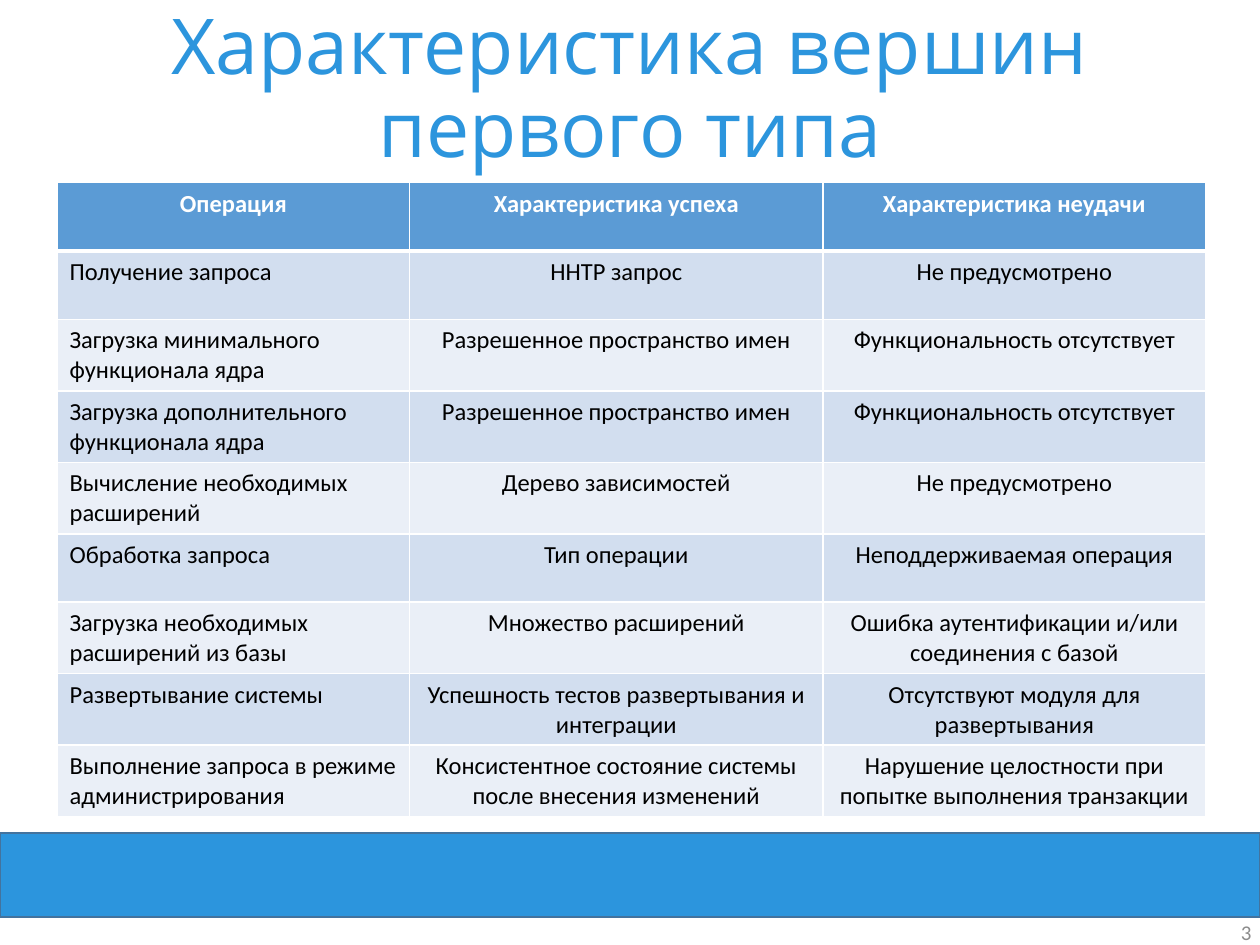
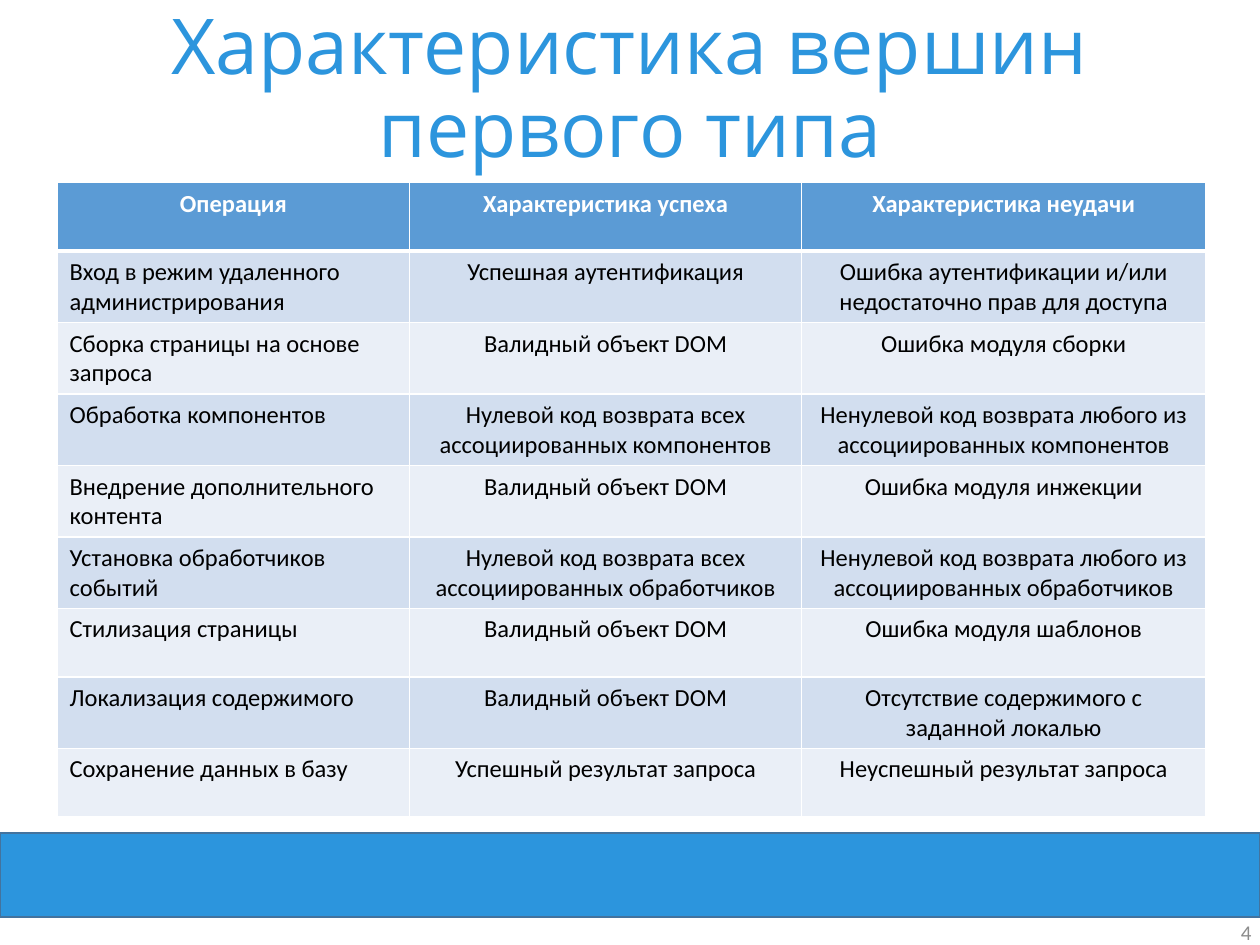
from lxml.etree import SubElement
from pptx import Presentation
from pptx.dml.color import RGBColor
from pptx.enum.shapes import MSO_SHAPE
from pptx.enum.text import MSO_ANCHOR, MSO_AUTO_SIZE, PP_ALIGN
from pptx.oxml.ns import qn
from pptx.util import Cm, Pt

# Shared look
HUES = {
    "main": "2C95DD", "edge": "43739E", "head": "5B9BD5", "odd": "D2DEEF",
    "even": "EAEFF7", "white": "FFFFFF", "black": "000000", "grey": "8C8C8C",
}
WIDE, HIGH = 25.4, 19.05
TOP = 3.68      # title height and table top
ROW = 1.38
TITLE = "Характеристика вершин первого типа"
HEAD = ("Операция", "Характеристика успеха", "Характеристика неудачи")

# Content: first page number, column widths and rows
SPACE = "Разрешенное пространство имен"
NONE = "Функциональность отсутствует"
DOM = "Валидный объект DOM"
ZERO = "Нулевой код возврата всех ассоциированных "
FAIL = "Ненулевой код возврата любого из ассоциированных "
PAGES = [
    (3, (7.11, 8.33, 7.72), [
        ("Получение запроса", "HHTP запрос", "Не предусмотрено"),
        ("Загрузка минимального функционала ядра", SPACE, NONE),
        ("Загрузка дополнительного функционала ядра", SPACE, NONE),
        ("Вычисление необходимых расширений", "Дерево зависимостей",
         "Не предусмотрено"),
        ("Обработка запроса", "Тип операции", "Неподдерживаемая операция"),
        ("Загрузка необходимых расширений из базы", "Множество расширений",
         "Ошибка аутентификации и/или соединения с базой"),
        ("Развертывание системы",
         "Успешность тестов развертывания и интеграции",
         "Отсутствуют модуля для развертывания"),
        ("Выполнение запроса в режиме администрирования",
         "Консистентное состояние системы после внесения изменений",
         "Нарушение целостности при попытке выполнения транзакции"),
    ]),
    (4, (7.11, 7.9, 8.15), [
        ("Вход в режим удаленного администрирования",
         "Успешная аутентификация",
         "Ошибка аутентификации и/или недостаточно прав для доступа"),
        ("Сборка страницы на основе запроса", DOM, "Ошибка модуля сборки"),
        ("Обработка компонентов", ZERO + "компонентов", FAIL + "компонентов"),
        ("Внедрение дополнительного контента", DOM,
         "Ошибка модуля инжекции"),
        ("Установка обработчиков событий", ZERO + "обработчиков",
         FAIL + "обработчиков"),
        ("Стилизация страницы", DOM, "Ошибка модуля шаблонов"),
        ("Локализация содержимого", DOM,
         "Отсутствие содержимого с заданной локалью"),
        ("Сохранение данных в базу", "Успешный результат запроса",
         "Неуспешный результат запроса"),
    ]),
]


def hue(name):
    return RGBColor.from_string(HUES[name])


def write(frame, text, size, color, align, face="Calibri", bold=False):
    frame.text = text
    para = frame.paragraphs[0]
    para.alignment = align
    font = para.font
    font.name, font.size, font.bold = face, Pt(size), bold
    font.color.rgb = hue(color)
    return para


def add_title(slide):
    box = slide.shapes.title
    box.left, box.top, box.width, box.height = 0, 0, Cm(WIDE), Cm(TOP)
    frame = box.text_frame
    frame.word_wrap = True
    frame.auto_size = MSO_AUTO_SIZE.NONE
    frame.vertical_anchor = MSO_ANCHOR.MIDDLE
    para = write(frame, TITLE, 44, "main", PP_ALIGN.CENTER, "Open Sans")
    para.line_spacing = 0.9


def add_band(slide):
    band = slide.shapes.add_shape(
        MSO_SHAPE.RECTANGLE, 0, Cm(16.79), Cm(WIDE), Cm(1.7))
    band.shadow.inherit = False
    band.fill.solid()
    band.fill.fore_color.rgb = hue("main")
    band.line.color.rgb = hue("edge")
    band.line.width = Pt(1)


def add_number(slide, num):
    box = slide.shapes.add_textbox(Cm(17.86), Cm(18.29), Cm(7.62), Cm(1.02))
    frame = box.text_frame
    frame.word_wrap = True
    frame.vertical_anchor = MSO_ANCHOR.MIDDLE
    write(frame, str(num), 12, "grey", PP_ALIGN.RIGHT)


def add_edges(cell, top, low):
    """Draw white cell borders; the edge lines must precede the fill."""
    props = cell._tc.get_or_add_tcPr()
    sides = (("L", 1), ("R", 1), ("T", top), ("B", low))
    for spot, (side, size) in enumerate(sides):
        line = SubElement(props, qn("a:ln" + side), w=str(Pt(size)))
        fill = SubElement(line, qn("a:solidFill"))
        SubElement(fill, qn("a:srgbClr"), val=HUES["white"])
        props.insert(spot, line)


def add_grid(slide, widths, rows):
    data = [HEAD, *rows]
    grid = slide.shapes.add_table(
        len(data), len(HEAD), Cm(1.15), Cm(TOP),
        Cm(sum(widths)), Cm(ROW * len(data))).table
    for col, width in zip(grid.columns, widths):
        col.width = Cm(width)
    for r, texts in enumerate(data):
        grid.rows[r].height = Cm(ROW)
        head = r == 0
        back = "head" if head else ("even", "odd")[r % 2]
        for c, text in enumerate(texts):
            cell = grid.cell(r, c)
            cell.fill.solid()
            cell.fill.fore_color.rgb = hue(back)
            add_edges(cell, 3 if r == 1 else 1, 3 if head else 1)
            align = PP_ALIGN.CENTER if head or c else PP_ALIGN.LEFT
            write(cell.text_frame, text, 14, "white" if head else "black",
                  align, bold=head)


def main():
    deck = Presentation()
    deck.slide_width, deck.slide_height = Cm(WIDE), Cm(HIGH)
    for num, widths, rows in PAGES:
        slide = deck.slides.add_slide(deck.slide_layouts[5])
        add_number(slide, num)
        add_band(slide)
        add_title(slide)
        add_grid(slide, widths, rows)
    deck.save("out.pptx")


main()
